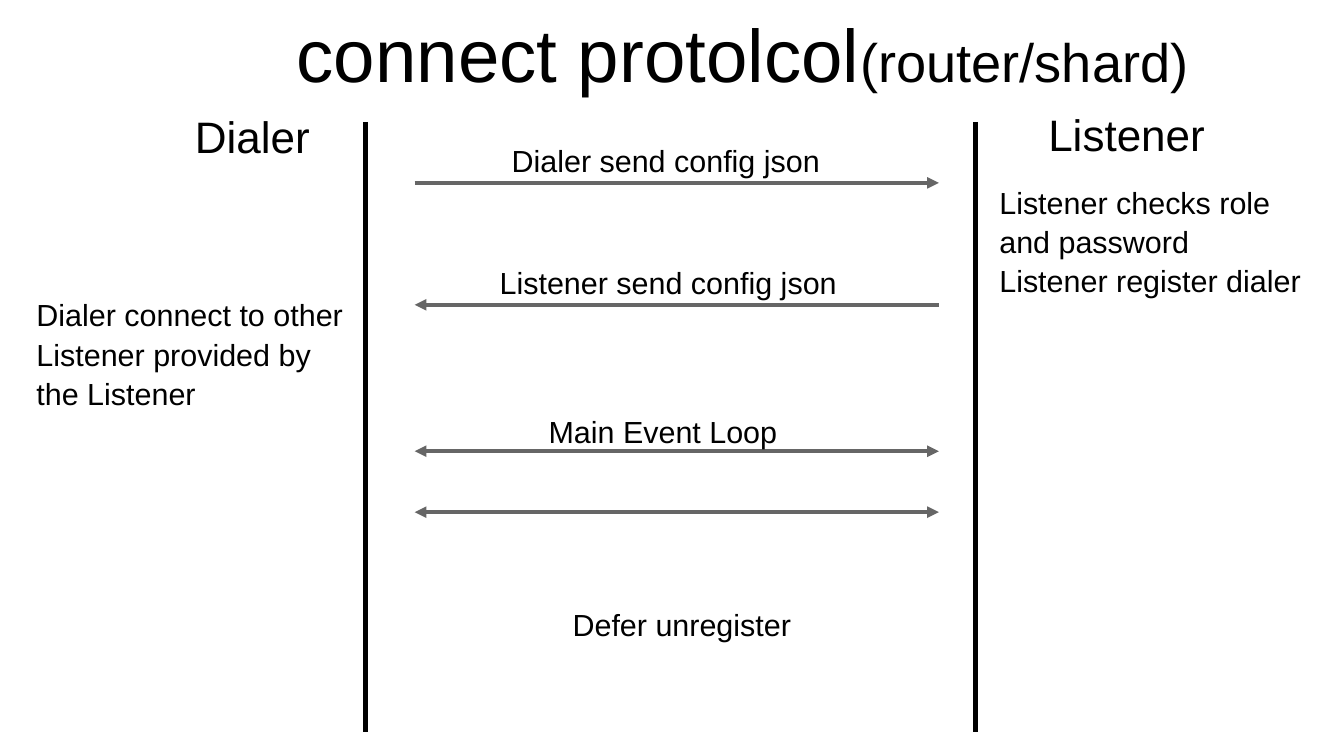
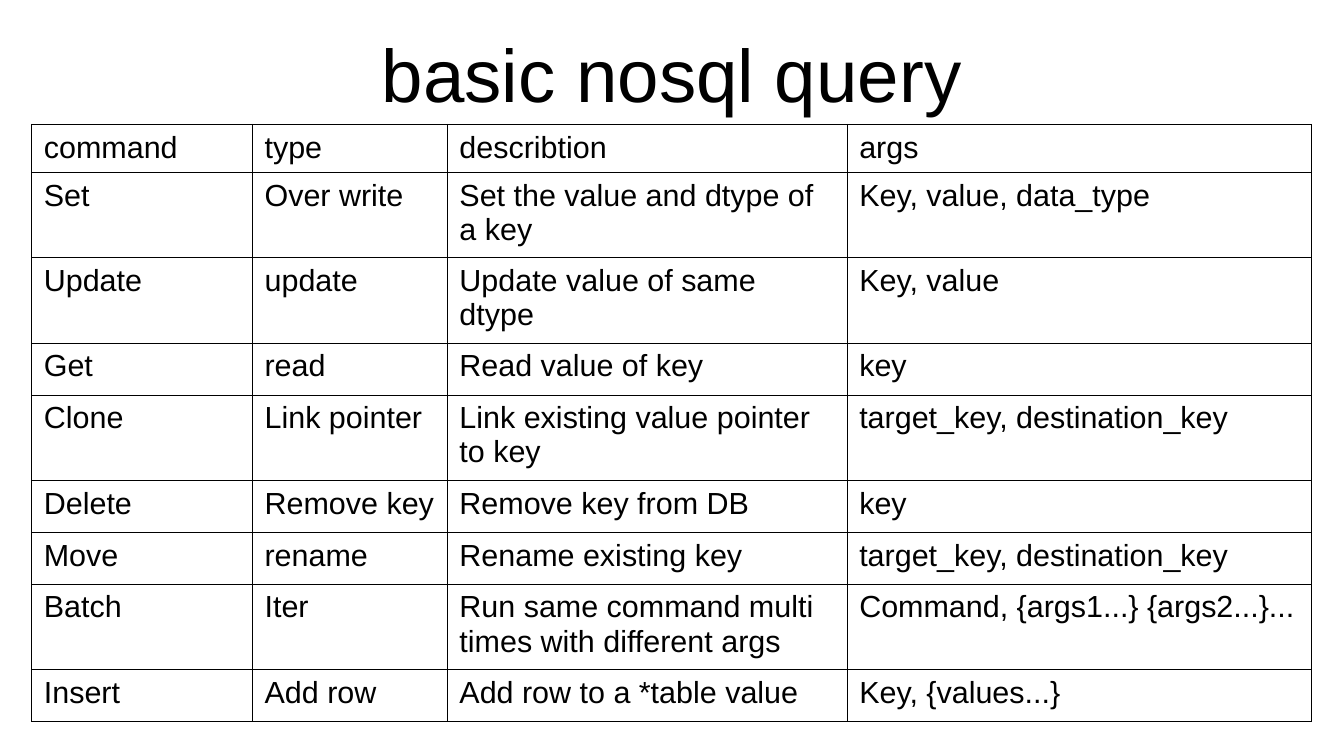
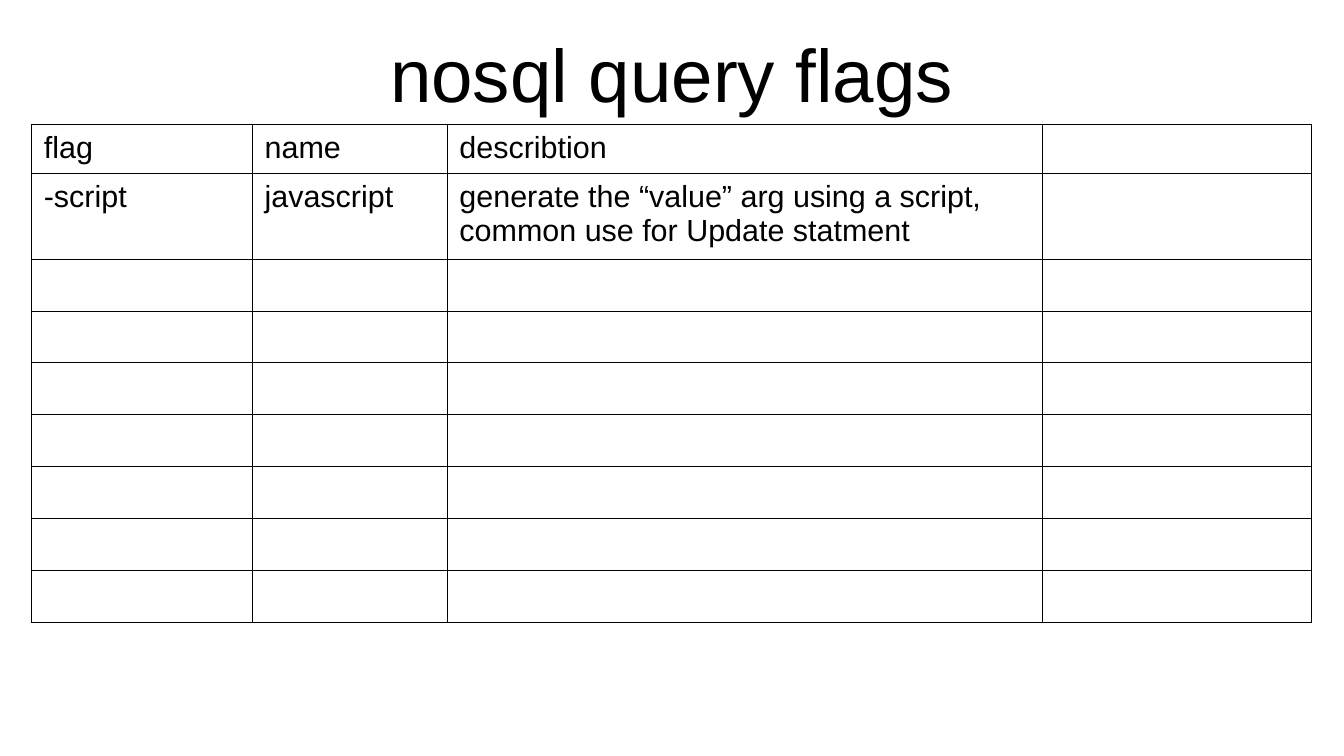
from lxml import etree
from pptx import Presentation
from pptx.dml.color import RGBColor
from pptx.enum.shapes import MSO_CONNECTOR
from pptx.enum.text import MSO_ANCHOR, MSO_AUTO_SIZE, PP_ALIGN
from pptx.oxml.ns import qn
from pptx.util import Cm, Pt

STRAIGHT = MSO_CONNECTOR.STRAIGHT
MIDDLE = MSO_ANCHOR.MIDDLE
NO_FIT = MSO_AUTO_SIZE.NONE
CENTER = PP_ALIGN.CENTER

FONT = "Arial"
BLACK = "000000"
GRAY = "666666"
TITLE_SIZE, SUFFIX_SIZE, HEADING_SIZE, BODY_SIZE = 44, 32, 26, 18
LINE_SPACING = 1.07
BORDER = 0.57

PROTOCOL_TITLE = ("connect protolcol", "(router/shard)")
LIFELINES = [7.62, 20.32]
LIFELINE_TOP, LIFELINE_BOTTOM = 2.54, 15.24
MESSAGE_LEFT, MESSAGE_RIGHT = 8.64, 19.56
MESSAGES = [
    (3.81, "right"),
    (6.35, "left"),
    (9.4, "both"),
    (10.67, "both"),
]
LABELS = [
    (["Dialer"], HEADING_SIZE, (3.81, 2.08, 3.81, 1.27)),
    (["Listener"], HEADING_SIZE, (21.59, 2.03, 3.81, 1.27)),
    (["Dialer send config json"], BODY_SIZE, (10.41, 2.79, 7.11, 1.02)),
    (["Listener checks role and password", "Listener register dialer"],
     BODY_SIZE, (20.57, 3.66, 6.86, 2.39)),
    (["Listener send config json"], BODY_SIZE, (10.16, 5.33, 7.62, 1.68)),
    (["Dialer connect to other Listener provided by the Listener"],
     BODY_SIZE, (0.51, 6, 7.11, 2.39)),
    (["Main Event Loop"], BODY_SIZE, (11.18, 8.43, 5.33, 0.97)),
    (["Defer unregister"], BODY_SIZE, (11.68, 12.45, 6.35, 0.97)),
]

HEADER_HEIGHT, SINGLE_HEIGHT, DOUBLE_HEIGHT = 1, 1.08, 1.78
TABLE_LEFT, TABLE_TOP = 0.66, 2.59
TABLES = [
    {
        "title": "basic nosql query",
        "widths": [4.6, 4.06, 8.33, 9.68],
        "two_line_rows": {1, 2, 4, 7},
        "rows": [
            ("command", "type", "describtion", "args"),
            ("Set", "Over write", "Set the value and dtype of a key", "Key, value, data_type"),
            ("Update", "update", "Update value of same dtype", "Key, value"),
            ("Get", "read", "Read value of key", "key"),
            ("Clone", "Link pointer", "Link existing value pointer to key",
             "target_key, destination_key"),
            ("Delete", "Remove key", "Remove key from DB", "key"),
            ("Move", "rename", "Rename existing key", "target_key, destination_key"),
            ("Batch", "Iter", "Run same command multi times with different args",
             "Command, {args1...} {args2...}..."),
            ("Insert", "Add row", "Add row to a *table value", "Key, {values...}"),
        ],
    },
    {
        "title": "nosql query flags",
        "widths": [4.6, 4.06, 12.4, 5.61],
        "two_line_rows": {1},
        "rows": [
            ("flag", "name", "describtion", ""),
            ("-script", "javascript",
             "generate the “value” arg using a script, common use for Update statment", ""),
        ] + [("",) * 4] * 7,
    },
]


def color(value):
    return RGBColor.from_string(value)


def style(run, size):
    run.font.name = FONT
    run.font.size = Pt(size)
    run.font.color.rgb = color(BLACK)


def add_titled_slide(prs, title, top, height, suffix="", indent=0):
    slide = prs.slides.add_slide(prs.slide_layouts[5])
    holder = slide.shapes.title
    holder.left, holder.top = Cm(1.4), Cm(top)
    holder.width, holder.height = Cm(25.2), Cm(height)
    frame = holder.text_frame
    frame.text = title
    frame.auto_size = NO_FIT
    frame.word_wrap = True
    frame.vertical_anchor = MIDDLE
    frame.margin_left = Cm(indent)
    frame.margin_top = frame.margin_right = frame.margin_bottom = 0
    paragraph = frame.paragraphs[0]
    paragraph.alignment = CENTER
    paragraph.line_spacing = LINE_SPACING
    style(paragraph.runs[0], TITLE_SIZE)
    if suffix:
        run = paragraph.add_run()
        run.text = suffix
        style(run, SUFFIX_SIZE)
    return slide


def add_line(slide, start, end, line_color, width, arrows=()):
    line = slide.shapes.add_connector(STRAIGHT, *map(Cm, start + end))
    line.line.color.rgb = color(line_color)
    line.line.width = Pt(width)
    for arrow in arrows:
        etree.SubElement(line.line._get_or_add_ln(), qn(f"a:{arrow}"), type="triangle")
    etree.SubElement(line._element.spPr, qn("a:effectLst"))


def add_label(slide, lines, size, box):
    frame = slide.shapes.add_textbox(*map(Cm, box)).text_frame
    frame.word_wrap = True
    frame.text = "\n".join(lines)
    for paragraph in frame.paragraphs:
        paragraph.line_spacing = LINE_SPACING
        style(paragraph.runs[0], size)


def add_borders(cell):
    properties = cell._tc.get_or_add_tcPr()
    for position, side in enumerate(("lnL", "lnR", "lnT", "lnB")):
        border = etree.Element(qn(f"a:{side}"), w=str(Pt(BORDER)))
        fill = etree.SubElement(border, qn("a:solidFill"))
        etree.SubElement(fill, qn("a:srgbClr"), val=BLACK)
        properties.insert(position, border)


def add_grid(slide, rows, widths, two_line_rows):
    heights = [HEADER_HEIGHT] + [
        DOUBLE_HEIGHT if index in two_line_rows else SINGLE_HEIGHT
        for index in range(1, len(rows))
    ]
    grid = slide.shapes.add_table(
        len(rows), len(widths), Cm(TABLE_LEFT), Cm(TABLE_TOP),
        Cm(sum(widths)), Cm(sum(heights))).table
    grid.first_row = grid.horz_banding = False
    for column, width in zip(grid.columns, widths):
        column.width = Cm(width)
    for row, height, texts in zip(grid.rows, heights, rows):
        row.height = Cm(height)
        for cell, text in zip(row.cells, texts):
            cell.text = text
            cell.fill.background()
            add_borders(cell)
            for run in cell.text_frame.paragraphs[0].runs:
                style(run, BODY_SIZE)


def build_protocol(prs):
    title, suffix = PROTOCOL_TITLE
    slide = add_titled_slide(prs, title, 0, 2.08, suffix, indent=2.95)
    for x in LIFELINES:
        add_line(slide, (x, LIFELINE_TOP), (x, LIFELINE_BOTTOM), BLACK, 3)
    for y, direction in MESSAGES:
        start, end = (MESSAGE_LEFT, y), (MESSAGE_RIGHT, y)
        if direction == "left":
            start, end = end, start
        arrows = ("headEnd", "tailEnd") if direction == "both" else ("tailEnd",)
        add_line(slide, start, end, GRAY, 2.3, arrows)
    for lines, size, box in LABELS:
        add_label(slide, lines, size, box)


def main():
    prs = Presentation()
    prs.slide_width, prs.slide_height = Cm(28), Cm(15.75)
    build_protocol(prs)
    for content in TABLES:
        slide = add_titled_slide(prs, content["title"], 0.58, 1.73)
        add_grid(slide, content["rows"], content["widths"], content["two_line_rows"])
    prs.save("out.pptx")


if __name__ == "__main__":
    main()
